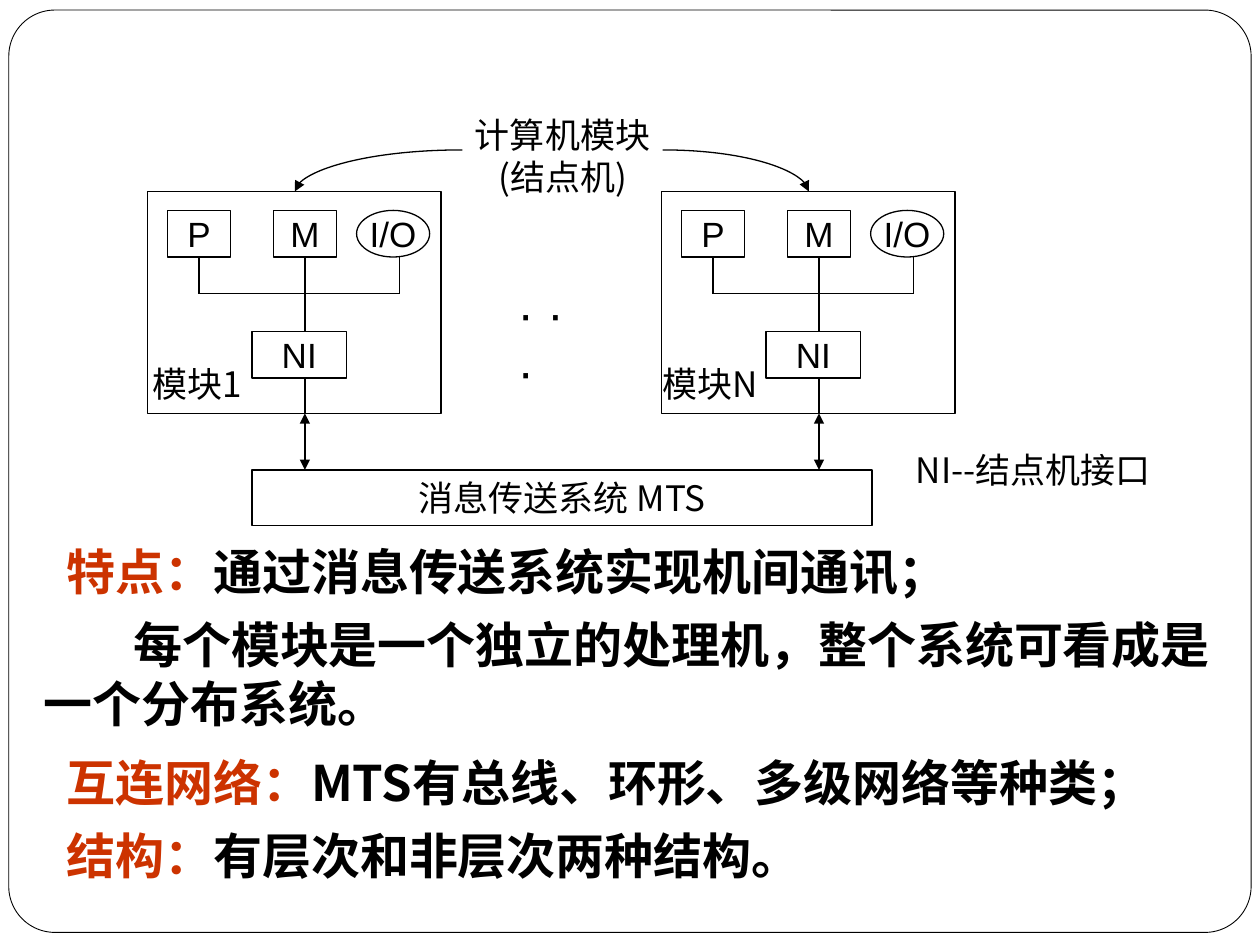
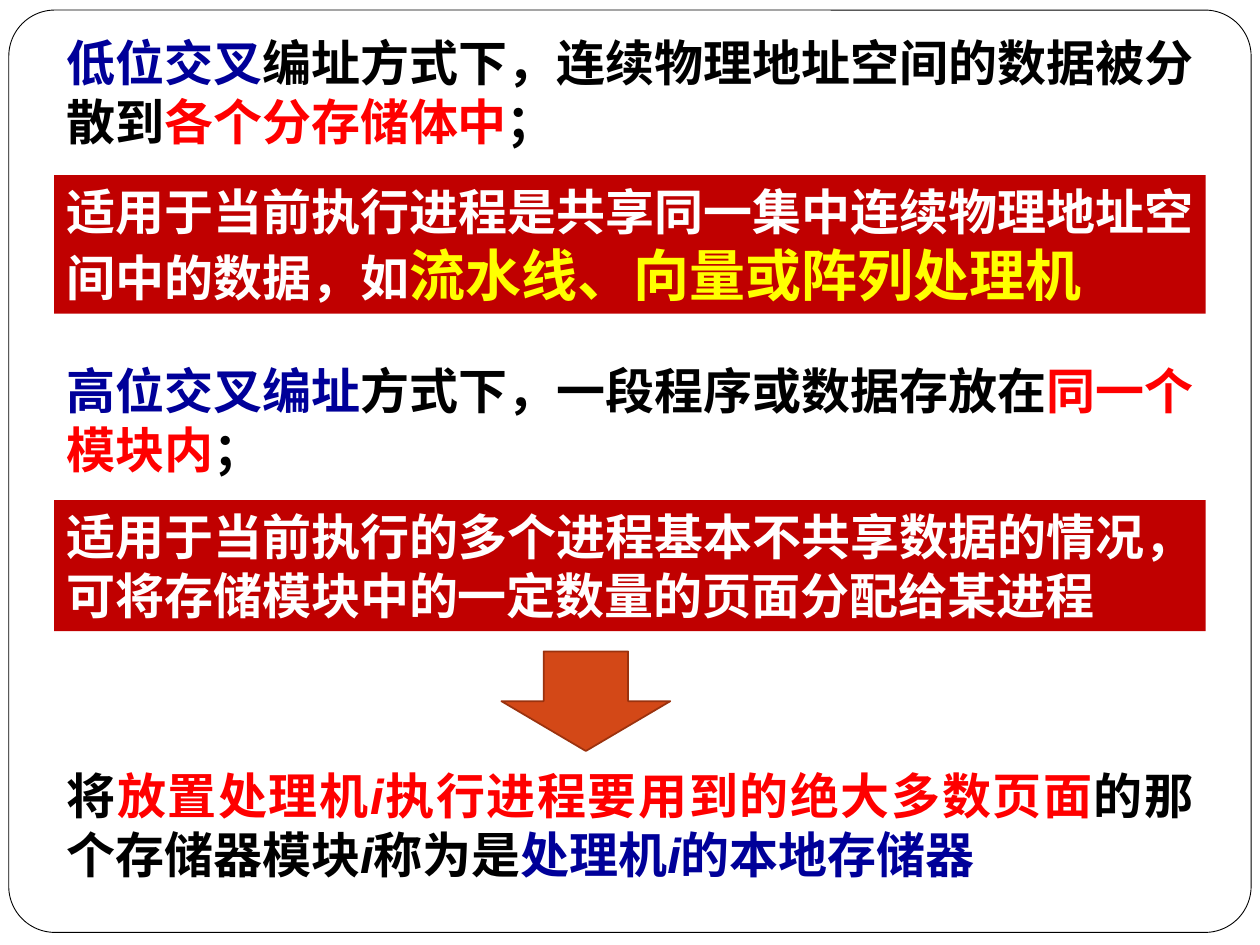
"""Build two slides on multiprocessor modules and interleaved memory addressing."""
from dataclasses import dataclass

from lxml import etree
from pptx import Presentation
from pptx import util as u
from pptx.dml.color import RGBColor
from pptx.enum import shapes, text
from pptx.oxml.ns import qn


@dataclass(frozen=True)
class Theme:
    black: str = "000000"
    white: str = "FFFFFF"
    heading: str = "CC3300"
    blue: str = "000099"
    red: str = "FF0000"
    yellow: str = "FFFF00"
    band: str = "C00000"
    arrow: str = "D34817"
    arrow_edge: str = "9B320E"
    latin: str = "Arial"
    cjk: str = "Noto Sans CJK SC"
    label: int = 20
    body: int = 28
    strong: int = 32
    frame_line: float = 0.5
    line: float = 0.75


theme = Theme()
RECT = shapes.MSO_SHAPE.RECTANGLE
LEFT, CENTER, JUSTIFY = text.PP_ALIGN.LEFT, text.PP_ALIGN.CENTER, text.PP_ALIGN.JUSTIFY


def block(slide, box, paragraphs=(), kind=None, fill=None, edge=None, width=theme.line,
          font=theme.latin, size=theme.label, bold=False, align=CENTER, wrap=False, indent=0):
    """Add a preset shape, or a text box if kind is None; runs are (text, colour, font options)."""
    place = [u.Inches(v) for v in box]
    if kind is None:
        item = slide.shapes.add_textbox(*place)
    else:
        item = slide.shapes.add_shape(kind, *place)
        item.shadow.inherit = False
        item._element.remove(item._element.find(qn("p:style")))
        if fill:
            item.fill.solid()
            item.fill.fore_color.rgb = RGBColor.from_string(fill)
        else:
            item.fill.background()
        if edge:
            item.line.color.rgb = RGBColor.from_string(edge)
            item.line.width = u.Pt(width)
        else:
            item.line.fill.background()
    frame = item.text_frame
    frame.word_wrap = wrap
    centred = kind is not None and not wrap
    frame.vertical_anchor = text.MSO_ANCHOR.MIDDLE if centred else text.MSO_ANCHOR.TOP
    for number, runs in enumerate(paragraphs):
        paragraph = frame.add_paragraph() if number else frame.paragraphs[0]
        paragraph.alignment = align
        paragraph.font.name = font
        paragraph.font.size = u.Pt(size)
        paragraph.font.bold = bold
        properties = paragraph._p.get_or_add_pPr()
        properties.set("indent", str(u.Inches(indent)))
        etree.SubElement(properties.find(qn("a:defRPr")), qn("a:ea"), typeface=theme.cjk)
        for words, colour, *options in runs:
            run = paragraph.add_run()
            run.text = words
            run.font.color.rgb = RGBColor.from_string(colour)
            for option in options:
                for name, value in option.items():
                    setattr(run.font, name, value)
    return item


def link(slide, start, end, ends=(), curved=False):
    """Connect two points, with triangles at the named line ends."""
    kind = shapes.MSO_CONNECTOR.CURVE if curved else shapes.MSO_CONNECTOR.STRAIGHT
    wire = slide.shapes.add_connector(kind, *[u.Inches(v) for v in (*start, *end)])
    wire.line.color.rgb = RGBColor.from_string(theme.black)
    wire.line.width = u.Pt(theme.line)
    properties = wire._element.spPr
    if curved:
        properties.find(qn("a:prstGeom")).set("prst", "curvedConnector2")
    for name in ends:
        etree.SubElement(properties.find(qn("a:ln")), qn(f"a:{name}"), type="triangle")
    etree.SubElement(properties, qn("a:effectLst"))


deck = Presentation()
deck.slide_width, deck.slide_height = u.Inches(10), u.Inches(7.5)
blank = deck.slide_layouts[6]
message_slide, memory_slide = [deck.slides.add_slide(blank) for _ in range(2)]
for slide in (message_slide, memory_slide):
    border = block(slide, (0.07, 0.08, 9.86, 7.32), kind=shapes.MSO_SHAPE.ROUNDED_RECTANGLE,
                   fill=theme.white, edge=theme.black, width=theme.frame_line)
    border.adjustments[0] = 0.05

block(message_slide, (2, 3.73, 4.92, 0.44), [[("消息传送系统 MTS", theme.black)]],
      kind=RECT, edge=theme.black, font=theme.cjk)

module_top, unit_top, bus_y, ni_top, module_bottom, mts_top = 1.52, 1.67, 2.33, 2.63, 3.28, 3.73
unit_height = 0.37
unit_bottom = unit_top + unit_height
units = [("P", 0.16, 0.5, RECT), ("M", 1, 0.5, RECT),
         ("I/O", 1.66, 0.58, shapes.MSO_SHAPE.OVAL)]
modules = [(1.17, "模块1", 1.11, 0.98, 3.67), (5.25, "模块N", 5.16, 1.03, 5.26)]
for left, name, name_left, name_width, caption_edge in modules:
    block(message_slide, (left, module_top, 2.33, module_bottom - module_top),
          kind=RECT, edge=theme.black)
    for unit, offset, width, outline in units:
        block(message_slide, (left + offset, unit_top, width, unit_height),
              [[(unit, theme.black)]], kind=outline, edge=theme.black)
    block(message_slide, (left + 0.83, ni_top, 0.75, unit_height),
          [[("NI", theme.black)]], kind=RECT, edge=theme.black)
    p_x, m_x, io_x = left + 0.41, left + 1.25, left + 2
    for x, bottom in ((p_x, bus_y), (m_x, ni_top), (io_x, bus_y)):
        link(message_slide, (x, unit_bottom), (x, bottom))
    link(message_slide, (io_x, bus_y), (p_x, bus_y))
    link(message_slide, (m_x, ni_top + unit_height), (m_x, module_bottom))
    link(message_slide, (m_x, module_bottom), (m_x, mts_top), ends=("headEnd", "tailEnd"))
    link(message_slide, (caption_edge, 1.19), (left + 1.17, module_top),
         ends=("tailEnd",), curved=True)
    block(message_slide, (name_left, 2.83, name_width, 0.44), [[(name, theme.black)]],
          font=theme.cjk, align=LEFT)

block(message_slide, (7.17, 3.51, 2.14, 0.44), [[("NI--结点机接口", theme.black)]],
      font=theme.cjk, align=LEFT)
block(message_slide, (4.01, 2.19, 0.8, 0.57), [[("· · ·", theme.black)]],
      size=theme.body, align=LEFT)
block(message_slide, (3.67, 0.85, 1.59, 0.77),
      [[("计算机模块", theme.black)], [("(结点机)", theme.black)]], font=theme.cjk)

features = [
    (4.25, 0.57, 0.18, "特点：", "通过消息传送系统实现机间通讯；"),
    (4.83, 1.04, 0.71, "", "每个模块是一个独立的处理机，整个系统可看成是一个分布系统。"),
    (5.92, 0.57, 0.18, "互连网络：", "MTS有总线、环形、多级网络等种类；"),
    (6.5, 0.57, 0.18, "结构：", "有层次和非层次两种结构。"),
]
for top, height, indent, heading, detail in features:
    runs = [(heading, theme.heading)] if heading else []
    block(message_slide, (0.25, top, 9.5, height), [runs + [(detail, theme.black)]],
          font=theme.cjk, size=theme.body, bold=True, align=LEFT, wrap=True, indent=indent)

italic = {"italic": True}
statements = [
    (0.21, 1.04, None, [
        ("低位交叉", theme.blue),
        ("编址方式下，连续物理地址空间的数据被分散到", theme.black),
        ("各个分存储体中", theme.red), ("；", theme.black)]),
    (1.39, 1.1, theme.band, [
        ("适用于当前执行进程是共享同一集中连续物理地址空间中的数据，如", theme.white),
        ("流水线、向量或阵列处理机", theme.yellow, {"size": u.Pt(theme.strong)})]),
    (2.81, 1.04, None, [
        ("高位交叉编址", theme.blue), ("方式下，一段程序或数据存放在", theme.black),
        ("同一个模块内", theme.red), ("；", theme.black)]),
    (3.97, 1.04, theme.band, [
        ("适用于当前执行的多个进程基本不共享数据的情况，"
         "可将存储模块中的一定数量的页面分配给某进程", theme.white)]),
    (6.03, 1.04, None, [
        ("将", theme.black), ("放置处理机", theme.red), ("i", theme.red, italic),
        ("执行进程要用到的绝大多数页面", theme.red), ("的那个存储器模块", theme.black),
        ("i", theme.black, italic), ("称为是", theme.black), ("处理机", theme.blue),
        ("i", theme.blue, italic), ("的本地存储器", theme.blue)]),
]
for top, height, band, runs in statements:
    block(memory_slide, (0.43, top, 9.14, height), [runs], kind=RECT if band else None,
          fill=band, size=theme.body, bold=True, align=JUSTIFY, wrap=True)
block(memory_slide, (3.98, 5.17, 1.34, 0.79), kind=shapes.MSO_SHAPE.DOWN_ARROW,
      fill=theme.arrow, edge=theme.arrow_edge, width=1)

deck.save("out.pptx")
